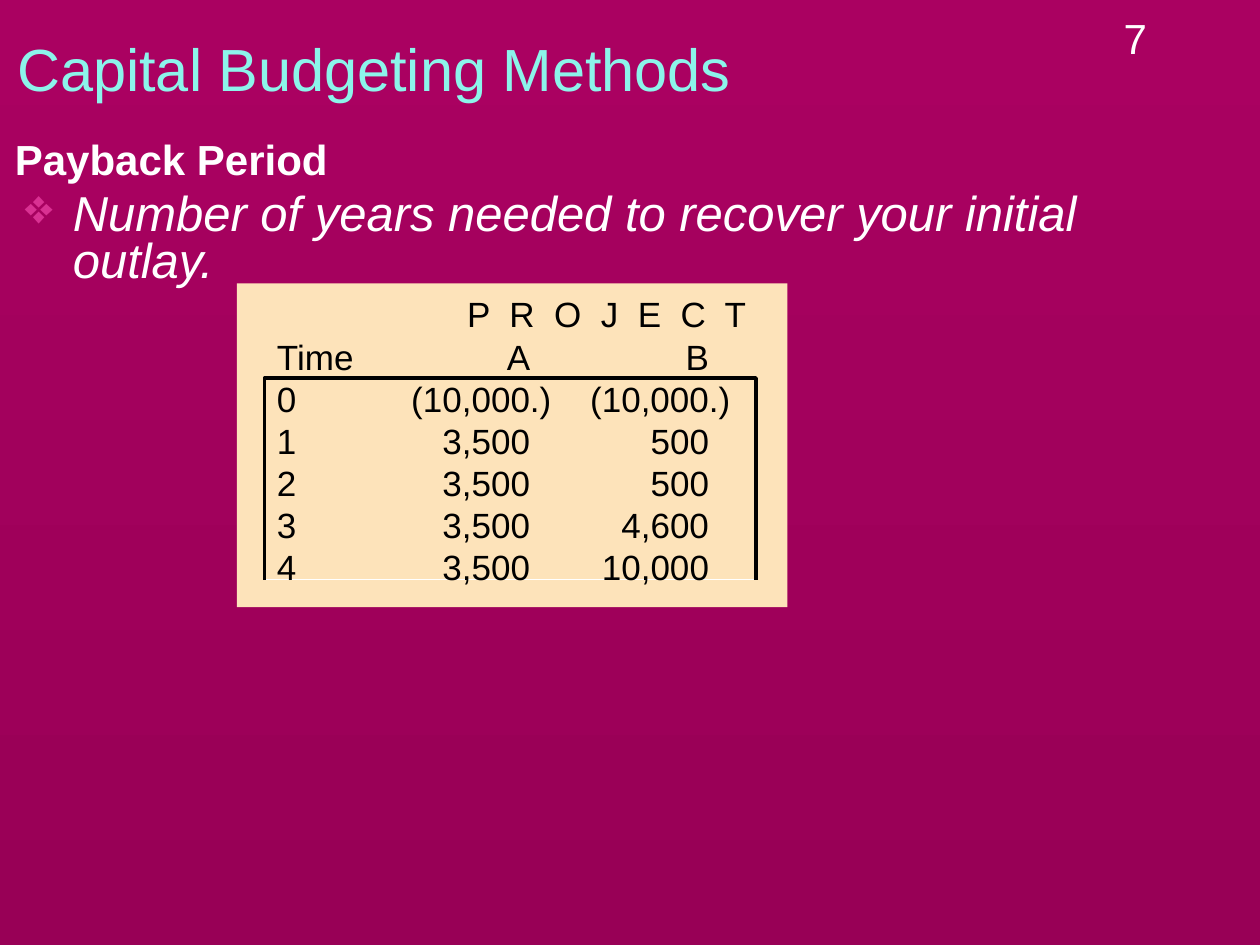
from lxml import etree
from pptx import Presentation
from pptx import util as u
from pptx.dml.color import RGBColor
from pptx.enum import shapes, text
from pptx.oxml.ns import qn

COLORS = {
    "top": "AA0161", "bottom": "980056", "title": "8CF4EA", "bullet": "D93192",
    "panel": "FDE3BA", "light": "FFFFFF", "dark": "000000",
}
COLUMNS, ROWS = 100, 75  # grid cells of a tenth of an inch
CELL = u.Inches(0.1)


def rgb(name):
    return RGBColor.from_string(COLORS[name])


def cells(*counts):
    return [round(count * CELL) for count in counts]


def add_color(parent, name):
    etree.SubElement(parent, qn("a:srgbClr"), val=COLORS[name])


class SlideStyle:
    font = "Arial"

    def __init__(self, deck):
        self.slide = deck.slides.add_slide(deck.slide_layouts[6])
        self.shapes = self.slide.shapes

    def background(self, first, last):
        fill = self.slide.background.fill
        fill.gradient()
        fill.gradient_angle = 270
        for stop, name, position in zip(fill.gradient_stops, (first, last), (0, 1)):
            stop.color.rgb = rgb(name)
            stop.position = position

    def text(self, place, lines, size, color="light", bold=False, italic=False,
             anchor=text.MSO_ANCHOR.TOP):
        frame = self.shapes.add_textbox(*cells(*place)).text_frame
        frame.word_wrap = True
        frame.vertical_anchor = anchor
        for index, line in enumerate(lines):
            para = frame.paragraphs[0] if index == 0 else frame.add_paragraph()
            para.add_run().text = line
            font = para.font
            font.name, font.size = self.font, u.Pt(size)
            font.bold, font.italic = bold, italic
            font.color.rgb = rgb(color)
        return frame.paragraphs

    def shadow(self, para):
        effects = etree.SubElement(para.runs[0].font._element, qn("a:effectLst"))
        outer = etree.SubElement(effects, qn("a:outerShdw"),
                                 dist=str(u.Pt(3)), dir="2700000")
        add_color(outer, "dark")

    def bullet(self, para, mark, color, indent):
        width, = cells(indent)
        props = para._p.get_or_add_pPr()
        props.set("marL", str(width))
        props.set("indent", str(-width))
        tint = etree.Element(qn("a:buClr"))
        add_color(tint, color)
        sign = etree.Element(qn("a:buChar"), char=mark)
        for node in (tint, sign):
            props.find(qn("a:defRPr")).addprevious(node)

    def decimal_tabs(self, para, stops):
        tabs = etree.Element(qn("a:tabLst"))
        for stop in cells(*stops):
            etree.SubElement(tabs, qn("a:tab"), pos=str(stop), algn="dec")
        para._p.get_or_add_pPr().find(qn("a:defRPr")).addprevious(tabs)

    def panel(self, place, color):
        box = self.shapes.add_shape(shapes.MSO_SHAPE.RECTANGLE, *cells(*place))
        box.shadow.inherit = False
        box.fill.solid()
        box.fill.fore_color.rgb = rgb(color)
        box.line.fill.background()

    def rule(self, start, end, color, width):
        line = self.shapes.add_connector(shapes.MSO_CONNECTOR.STRAIGHT,
                                         *cells(*start, *end))
        etree.SubElement(line._element.spPr, qn("a:effectLst"))
        line.line.color.rgb = rgb(color)
        line.line.width = u.Pt(width)

    def outline(self, points, color, width):
        builder = self.shapes.build_freeform(*points[0], scale=CELL)
        builder.add_line_segments(points[1:], close=False)
        shape = builder.convert_to_shape()
        shape.shadow.inherit = False
        shape.fill.background()
        shape.line.color.rgb = rgb(color)
        shape.line.width = u.Pt(width)


def main():
    deck = Presentation()
    deck.slide_width, deck.slide_height = cells(COLUMNS, ROWS)
    page = SlideStyle(deck)
    page.background("top", "bottom")

    # Page number and headings
    page.text((88.2, 0.5, 10, 5), ["7"], 24)
    title = page.text((0.4, 0.8, 84.4, 9.2), ["Capital Budgeting Methods"], 34,
                      "title", anchor=text.MSO_ANCHOR.MIDDLE)
    page.shadow(title[0])

    # Definition
    definition = page.text(
        (1, 14.9, 97.3, 22.9),
        ["Number of years needed to recover your initial outlay."], 28, italic=True)[0]
    definition.line_spacing = 0.8
    definition.space_before = u.Pt(7)
    page.bullet(definition, "❖", "bullet", 3.8)
    page.text((0.2, 10.1, 28, 5), ["Payback Period"], 24, bold=True)

    # Cash flow panel with its frame
    left, right, top, bottom = 21, 60.2, 29.7, 46
    page.panel((18.8, 22.5, 43.7, 25.7), "panel")
    page.rule((left, bottom), (right, bottom), "light", 1)
    page.text((36.1, 22.7, 25.4, 4.3), ["P  R  O  J  E  C  T"], 20, "dark")
    page.outline([(left, bottom), (left, top), (right, top), (right, bottom)],
                 "dark", 2)

    # Cash flows by year, lined up on the decimal point
    flows = [
        ("Time", "A", "B"),
        ("0", "(10,000.)", " (10,000.)"),
        ("1", "3,500", "500"),
        ("2", "3,500", "500"),
        ("3", "3,500", "4,600"),
        ("4", "3,500", "10,000"),
    ]
    lines = ["\t".join(row) for row in flows]
    for para in page.text((left, 26.1, 40.7, 21), lines, 20, "dark"):
        page.decimal_tabs(para, (20.1, 34.3))

    deck.save("out.pptx")


if __name__ == "__main__":
    main()
